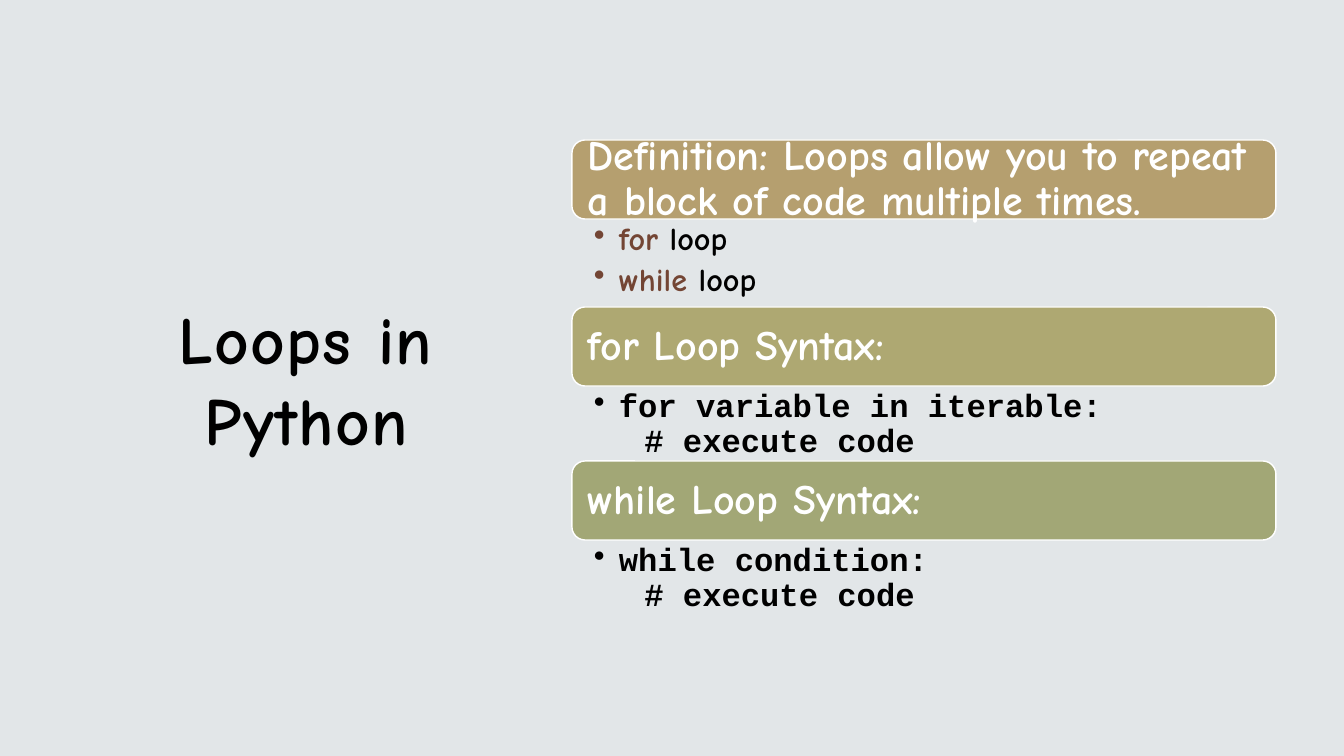
"""Build the slide that introduces loops in Python."""
from dataclasses import dataclass

from lxml import etree
from pptx import Presentation
from pptx import util as u
from pptx.dml.color import RGBColor
from pptx.enum import shapes, text
from pptx.oxml.ns import qn

SCALE = 914400 / 100.8
SCRIPT, CODE = "Comic Neue", "Courier New"
BLACK, WHITE, BROWN = "000000", "FFFFFF", "734534"
LEFT, WIDTH, TOP, HEADER_HEIGHT = 572, 704, 140, 79


@dataclass(frozen=True)
class Span:
    """A stretch of text in one style."""
    words: str
    size: int
    font: str = SCRIPT
    color: str = BLACK


@dataclass(frozen=True)
class Section:
    """A coloured header with the bullets below it."""
    heading: str
    fill: str
    height: int
    bullets: list[list[Span]]


def px(length: int) -> u.Emu:
    """Turn px into EMU."""
    return u.Emu(round(length * SCALE))


def rgb(value: str) -> RGBColor:
    """Turn a hex string into a colour."""
    return RGBColor.from_string(value)


def prepare_frame(box, insets: tuple[int, int, int, int], anchor):
    """Set wrapping, insets and anchor, and return the text frame."""
    frame = box.text_frame
    frame.word_wrap = True
    frame.vertical_anchor = anchor
    (frame.margin_left, frame.margin_top,
     frame.margin_right, frame.margin_bottom) = map(px, insets)
    return frame


def add_spans(para, spans: list[Span], spacing: int = 0) -> None:
    """Add bold runs, with a line break at each newline."""
    for span in spans:
        for number, line in enumerate(span.words.split("\n")):
            if number:
                para.add_line_break()
            run = para.add_run()
            run.text = line
            run.font.name, run.font.size = span.font, u.Pt(span.size)
            run.font.bold = True
            run.font.color.rgb = rgb(span.color)
            if spacing:
                run.font._element.set("spc", str(spacing))


def add_bullet(para) -> None:
    """Give a paragraph a hanging bullet."""
    properties = para._p.get_or_add_pPr()
    properties.set("marL", str(px(25)))
    properties.set("indent", str(-px(25)))
    etree.SubElement(properties, qn("a:buChar")).set("char", "•")


def add_title(page) -> None:
    """Draw the slide title."""
    box = page.shapes.add_textbox(px(98), px(108), px(417), px(541))
    frame = prepare_frame(box, (10, 5, 10, 5), text.MSO_ANCHOR.MIDDLE)
    para = frame.paragraphs[0]
    para.alignment = text.PP_ALIGN.CENTER
    add_spans(para, [Span("Loops in Python", 48)], spacing=100)


def add_header(page, section: Section, top: int) -> None:
    """Draw the rounded header of a section."""
    box = page.shapes.add_shape(shapes.MSO_SHAPE.ROUNDED_RECTANGLE,
                                px(LEFT), px(top), px(WIDTH), px(HEADER_HEIGHT))
    box.shadow.inherit = False
    box.fill.solid()
    box.fill.fore_color.rgb = rgb(section.fill)
    box.line.color.rgb = rgb(WHITE)
    box.line.width = u.Pt(1)
    frame = prepare_frame(box, (12, 12, 12, 12), text.MSO_ANCHOR.MIDDLE)
    para = frame.paragraphs[0]
    para.alignment = text.PP_ALIGN.LEFT
    para.line_spacing = 0.9
    add_spans(para, [Span(section.heading, 30, color=WHITE)])


def add_bullets(page, section: Section, top: int) -> None:
    """Draw the bullets of a section."""
    box = page.shapes.add_textbox(px(LEFT), px(top), px(WIDTH), px(section.height))
    frame = prepare_frame(box, (22, 4, 23, 4), text.MSO_ANCHOR.TOP)
    for number, spans in enumerate(section.bullets):
        para = frame.add_paragraph() if number else frame.paragraphs[0]
        para.line_spacing = 0.9
        para.space_after = u.Pt(4)
        add_bullet(para)
        add_spans(para, spans)


def main() -> None:
    """Build and save the deck."""
    sections = [
        Section("Definition: Loops allow you to repeat a block of code multiple times.",
                "B59F6F", 88,
                [[Span(word, 23, color=BROWN), Span(" loop", 23)]
                 for word in ("for", "while")]),
        Section("for Loop Syntax:", "AEA872", 75,
                [[Span("for variable in iterable:\n\t# execute code", 23, CODE)]]),
        Section("while Loop Syntax:", "A2A776", 75,
                [[Span("while condition:\n\t# execute code", 23, CODE)]]),
    ]
    deck = Presentation()
    deck.slide_width, deck.slide_height = px(1344), px(756)
    page = deck.slides.add_slide(deck.slide_layouts[6])
    page.background.fill.solid()
    page.background.fill.fore_color.rgb = rgb("E2E6E8")
    add_title(page)
    top = TOP
    for section in sections:
        add_header(page, section, top)
        top += HEADER_HEIGHT
        add_bullets(page, section, top)
        top += section.height
    deck.save("out.pptx")


if __name__ == "__main__":
    main()
